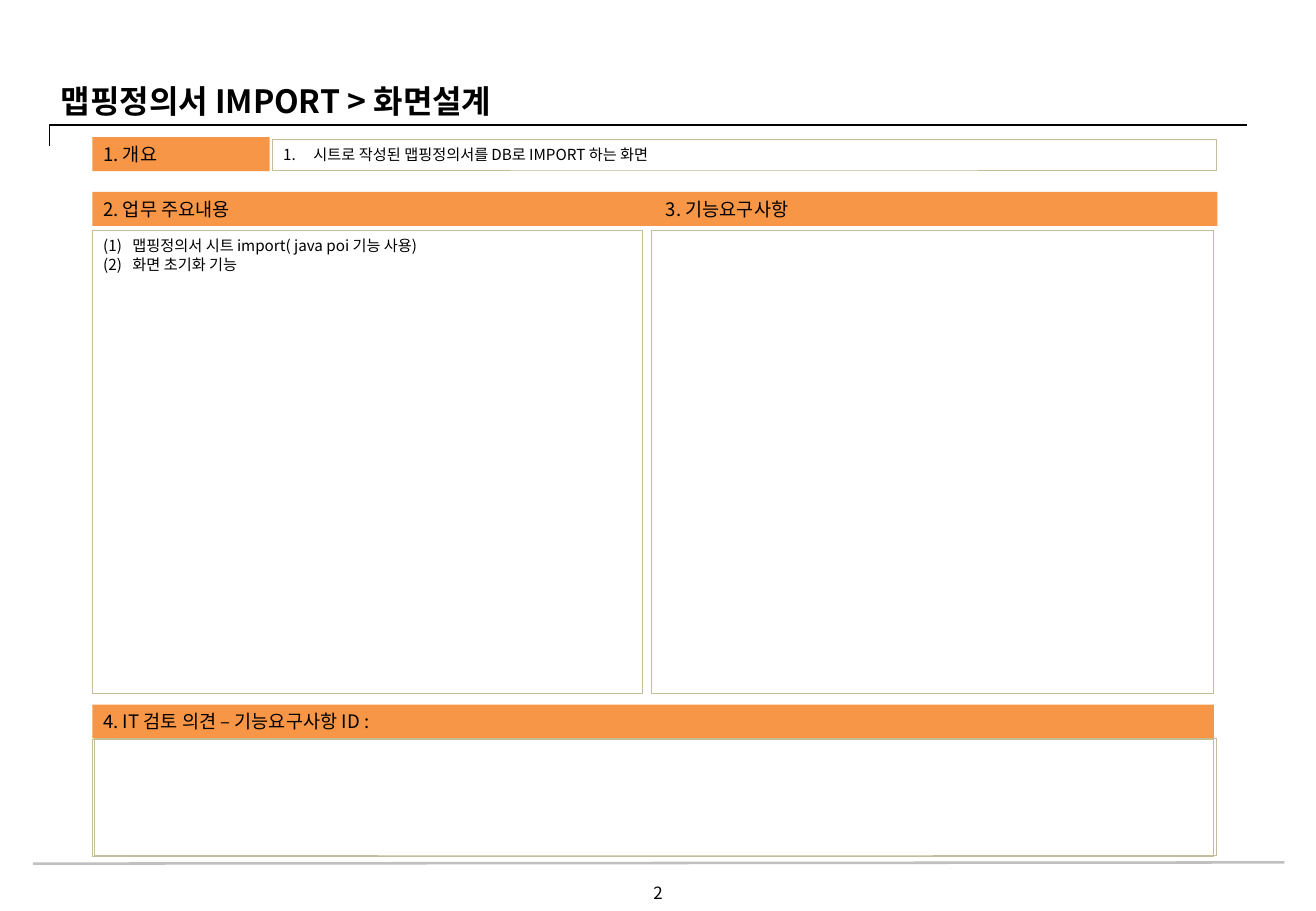
from lxml import etree
from pptx import Presentation
from pptx import util as u
from pptx.dml.color import RGBColor
from pptx.enum import shapes, text
from pptx.oxml.ns import qn

FONT = "Noto Sans CJK KR"
COLORS = {"ink": "000000", "header": "F79646", "frame": "C4BD97", "footer": "C0C0C0"}

TITLE = "맵핑정의서 IMPORT > 화면설계"
PAGE_NUMBER = "2"
OVERVIEW = ["시트로 작성된 맵핑정의서를 DB로 IMPORT 하는 화면"]
BUSINESS = ["맵핑정의서 시트 import( java poi 기능 사용)", "화면 초기화 기능"]

LEFT, MIDDLE, FULL, HALF = 0.76, 5.39, 9.23, 4.63
HEADER_HEIGHT, BODY_TOP, BODY_HEIGHT = 0.28, 1.9, 3.81

# label, left, top, width
HEADERS = [
    ("1. 개요", LEFT, 1.13, 1.46),
    ("2. 업무 주요내용", LEFT, 1.58, HALF),
    ("3. 기능요구사항", MIDDLE, 1.58, HALF),
    ("4. IT 검토 의견 – 기능요구사항 ID : ", LEFT, 5.8, FULL),
]
# items, numbering style, hanging indent, left, top, width, height
FRAMES = [
    (OVERVIEW, "arabicPeriod", 0.25, 2.24, 1.15, 7.77, 0.25),
    (BUSINESS, "arabicParenBoth", 0.24, LEFT, BODY_TOP, 4.53, BODY_HEIGHT),
    ([], None, 0, 5.36, BODY_TOP, HALF, BODY_HEIGHT),
    ([], None, 0, LEFT, 6.09, FULL, 0.96),
    ([], None, 0, LEFT + 0.02, 6.08, FULL, 0.96),
]


def rgb(name):
    """Return a named colour."""
    return RGBColor.from_string(COLORS[name])


def inches(*lengths):
    """Turn numbers into lengths."""
    return [u.Inches(length) for length in lengths]


def set_line(line, color, width):
    """Colour a line and set its width in points."""
    line.color.rgb = rgb(color)
    line.width = u.Pt(width)


def add_run(paragraph, words, size, bold=False):
    """Add one run in the slide's font."""
    run = paragraph.add_run()
    run.text = words
    run.font.name = FONT
    run.font.size = u.Pt(size)
    run.font.bold = bold
    run.font.color.rgb = rgb("ink")
    east_asian = etree.SubElement(run._r.get_or_add_rPr(), qn("a:ea"))
    east_asian.set("typeface", FONT)


def set_frame(frame, anchor, wrap=True):
    """Set the margins, anchor and wrapping of a text frame."""
    frame.margin_left = frame.margin_right = u.Inches(0.09)
    frame.margin_top = frame.margin_bottom = u.Inches(0.05)
    frame.vertical_anchor = anchor
    frame.word_wrap = wrap


def number_paragraph(paragraph, style, indent):
    """Give a paragraph automatic numbering with a hanging indent."""
    properties = paragraph._p.get_or_add_pPr()
    properties.set("marL", str(u.Inches(indent)))
    properties.set("indent", str(-u.Inches(indent)))
    etree.SubElement(properties, qn("a:buFontTx"))
    etree.SubElement(properties, qn("a:buAutoNum")).set("type", style)


def add_box(slide, *box):
    """Add a rectangle without shadow."""
    shape = slide.shapes.add_shape(shapes.MSO_SHAPE.RECTANGLE, *inches(*box))
    shape.shadow.inherit = False
    return shape


def add_header(slide, label, left, top, width):
    """Add an orange section bar."""
    shape = add_box(slide, left, top, width, HEADER_HEIGHT)
    shape.fill.solid()
    shape.fill.fore_color.rgb = rgb("header")
    shape.line.fill.background()
    set_frame(shape.text_frame, text.MSO_ANCHOR.MIDDLE)
    paragraph = shape.text_frame.paragraphs[0]
    paragraph.alignment = text.PP_ALIGN.LEFT
    add_run(paragraph, label, 11)


def add_frame(slide, items, style, indent, *box):
    """Add an outlined area with an optional numbered list."""
    shape = add_box(slide, *box)
    shape.fill.background()
    set_line(shape.line, "frame", 0.5)
    frame = shape.text_frame
    set_frame(frame, text.MSO_ANCHOR.TOP)
    for index, item in enumerate(items):
        paragraph = frame.add_paragraph() if index else frame.paragraphs[0]
        paragraph.alignment = text.PP_ALIGN.LEFT
        number_paragraph(paragraph, style, indent)
        add_run(paragraph, item, 9)


def add_label(slide, words, size, align, bold, *box):
    """Add a one-line text box."""
    frame = slide.shapes.add_textbox(*inches(*box)).text_frame
    set_frame(frame, text.MSO_ANCHOR.TOP, wrap=False)
    frame.paragraphs[0].alignment = align
    add_run(frame.paragraphs[0], words, size, bold)


def add_title_rule(slide):
    """Draw the angled rule under the title."""
    builder = slide.shapes.build_freeform(*inches(0.41, 1.2))
    builder.add_line_segments([inches(0.41, 1.03), inches(10.26, 1.03)], close=False)
    rule = builder.convert_to_shape()
    rule.shadow.inherit = False
    rule.fill.background()
    set_line(rule.line, "ink", 0.75)


def add_footer_rule(slide):
    """Draw the grey line above the page number."""
    rule = slide.shapes.add_connector(
        shapes.MSO_CONNECTOR.STRAIGHT, *inches(0.27, 7.11, 10.57, 7.1))
    set_line(rule.line, "footer", 1.5)
    etree.SubElement(rule._element.spPr, qn("a:effectLst"))


presentation = Presentation()
presentation.slide_width, presentation.slide_height = inches(10.83, 7.5)
slide = presentation.slides.add_slide(presentation.slide_layouts[6])

add_label(slide, PAGE_NUMBER, 10, text.PP_ALIGN.CENTER, False, 5.22, 7.22, 0.39, 0.27)
add_footer_rule(slide)
add_title_rule(slide)
for header in HEADERS:
    add_header(slide, *header)
for area in FRAMES:
    add_frame(slide, *area)
add_label(slide, TITLE, 19, text.PP_ALIGN.LEFT, True, 0.41, 0.62, 4.09, 0.41)

presentation.save("out.pptx")
